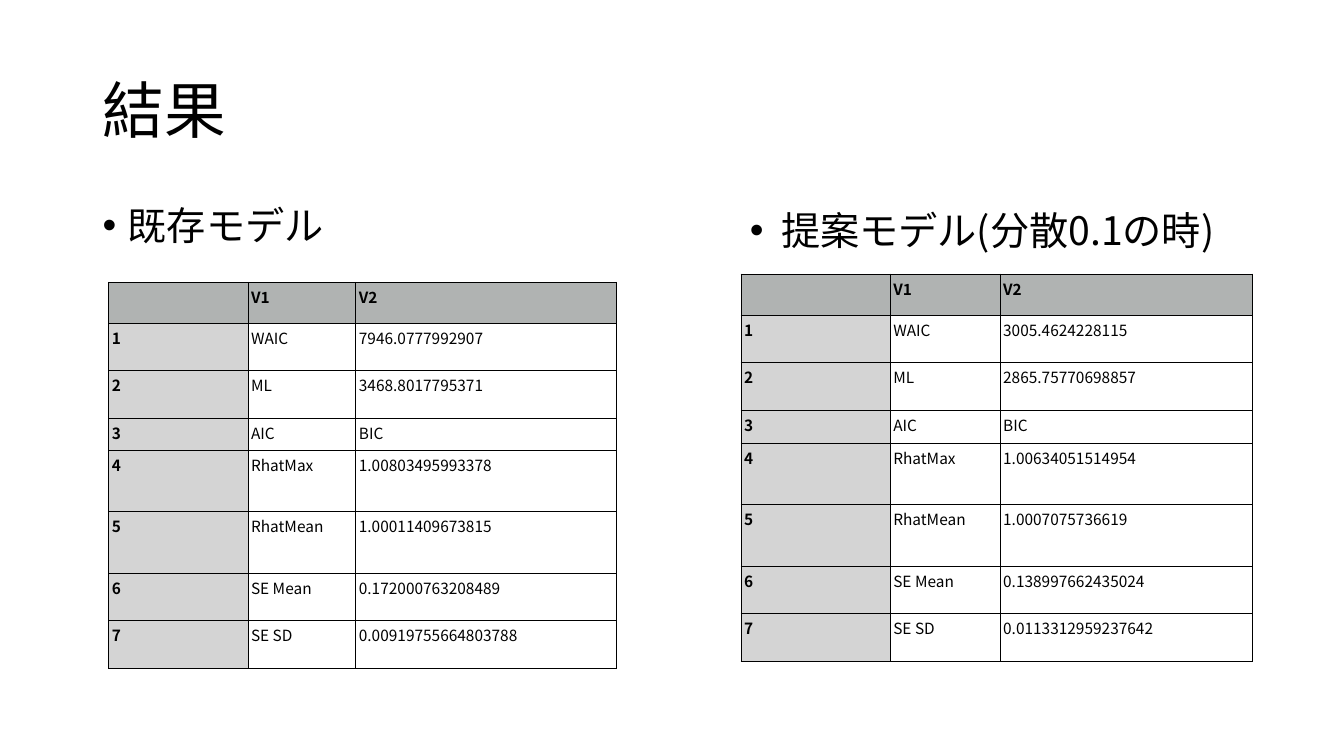
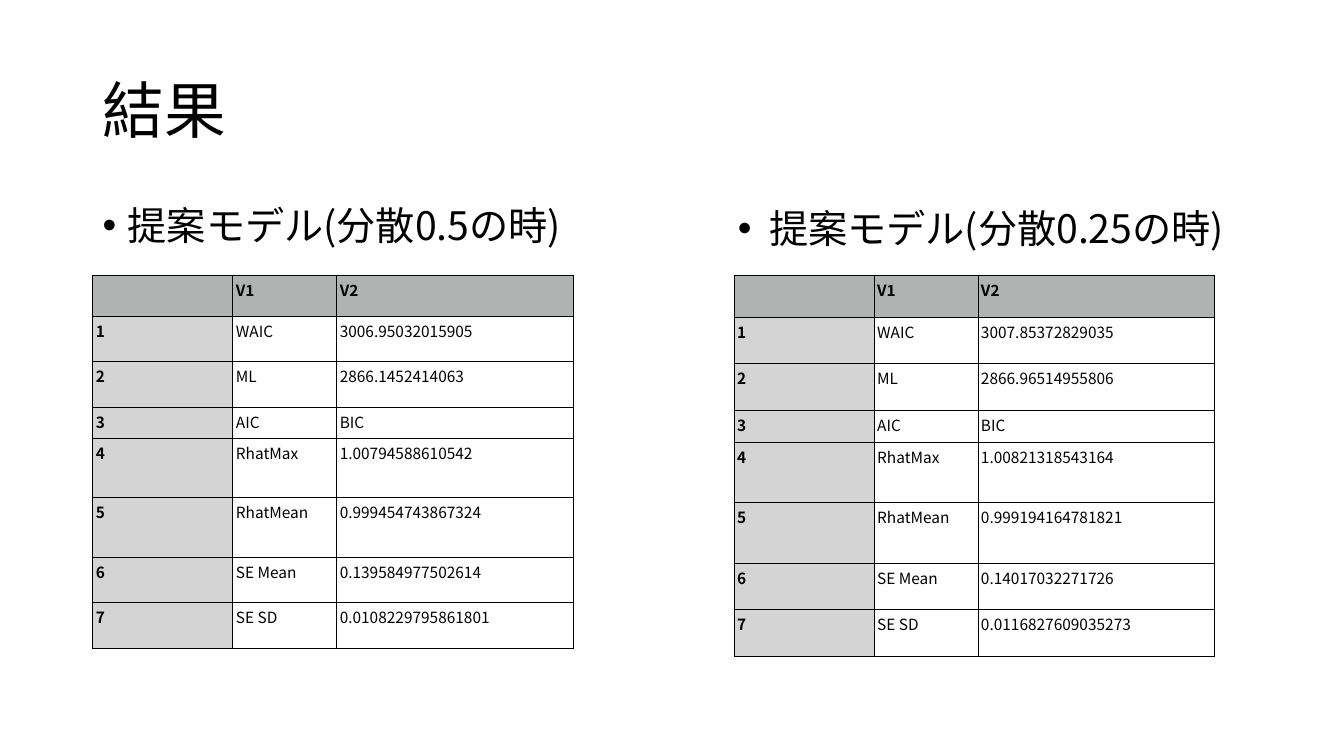
from lxml.etree import SubElement
from pptx import Presentation
from pptx.dml.color import RGBColor
from pptx.enum.text import MSO_ANCHOR
from pptx.oxml.ns import qn
from pptx.util import Inches, Pt

FONT = "Noto Sans CJK JP"
BLACK, HEAD, SIDE = "000000", "B0B3B2", "D4D4D4"
TITLE = "結果"
LABELS = ["WAIC", "ML", "AIC", "RhatMax", "RhatMean", "SE Mean", "SE SD"]

# Each panel: heading box and indent, table corner, column widths,
# row heights (head, mid, low, tall) and values
SLIDES = [
    [
        dict(text="既存モデル", box=(0.92, 2, 5.67, 4.76), indent=0.25,
             corner=(1.08, 2.8), cols=(1.38, 1.07, 2.58),
             heights=(0.41, 0.47, 0.32, 0.61),
             values=["7946.0777992907", "3468.8017795371", "BIC",
                     "1.00803495993378", "1.00011409673815",
                     "0.172000763208489", "0.00919755664803788"]),
        dict(text="提案モデル(分散0.1の時)", box=(7.34, 2, 5.64, 1.04), indent=0.31,
             corner=(7.35, 2.72), cols=(1.48, 1.09, 2.5),
             heights=(0.41, 0.47, 0.33, 0.61),
             values=["3005.4624228115", "2865.75770698857", "BIC",
                     "1.00634051514954", "1.0007075736619",
                     "0.138997662435024", "0.0113312959237642"]),
    ],
    [
        dict(text="提案モデル(分散0.5の時)", box=(0.92, 2, 5.67, 4.76), indent=0.25,
             corner=(0.92, 2.73), cols=(1.39, 1.03, 2.35),
             heights=(0.41, 0.45, 0.31, 0.59),
             values=["3006.95032015905", "2866.1452414063", "BIC",
                     "1.00794588610542", "0.999454743867324",
                     "0.139584977502614", "0.0108229795861801"]),
        dict(text="提案モデル(分散0.25の時)", box=(7.22, 1.98, 5.64, 1.04), indent=0.31,
             corner=(7.28, 2.73), cols=(1.39, 1.03, 2.35),
             heights=(0.42, 0.46, 0.32, 0.6),
             values=["3007.85372829035", "2866.96514955806", "BIC",
                     "1.00821318543164", "0.999194164781821",
                     "0.14017032271726", "0.0116827609035273"]),
    ],
]


def color(code):
    return RGBColor.from_string(code)


def style(para, size, bold=False):
    for run in para.runs:
        font = run.font
        font.name, font.size, font.bold = FONT, Pt(size), bold
        font.color.rgb = color(BLACK)
        SubElement(font._element, qn("a:ea"), typeface=FONT)


def add_text(slide, box, text, size):
    frame = slide.shapes.add_textbox(*map(Inches, box)).text_frame
    frame.word_wrap = True
    frame.text = text
    style(frame.paragraphs[0], size)
    return frame


def add_title(slide):
    frame = add_text(slide, (0.92, 0.4, 11.5, 1.45), TITLE, 44)
    frame.vertical_anchor = MSO_ANCHOR.MIDDLE
    frame.paragraphs[0].line_spacing = 0.9


def add_bullet(slide, box, text, indent, body):
    para = add_text(slide, box, text, 28).paragraphs[0]
    if body:
        para.line_spacing, para.space_before = 0.9, Pt(10)
    props = para._p.get_or_add_pPr()
    props.set("marL", str(Inches(indent)))
    props.set("indent", str(-Inches(indent)))
    SubElement(props, qn("a:buFont"), typeface="Arial")
    SubElement(props, qn("a:buChar"), char="•")


def add_border(cell):
    props = cell._tc.get_or_add_tcPr()
    for side in ("lnL", "lnR", "lnT", "lnB"):
        line = SubElement(props, qn("a:" + side), w=str(Pt(0.75)))
        fill = SubElement(line, qn("a:solidFill"))
        SubElement(fill, qn("a:srgbClr"), val=BLACK)


def fill_cell(cell, text, bold, fill):
    cell.margin_left = cell.margin_right = Inches(0.03)
    cell.margin_top = cell.margin_bottom = Inches(0.03)
    add_border(cell)
    if fill:
        cell.fill.solid()
        cell.fill.fore_color.rgb = color(fill)
    else:
        cell.fill.background()
    if text:
        cell.text_frame.text = text
        style(cell.text_frame.paragraphs[0], 11, bold)


def add_grid(slide, corner, cols, heights, values):
    head, mid, low, tall = heights
    sizes = [head, mid, mid, low, tall, tall, mid, mid]
    rows = [("", "V1", "V2")]
    rows += [(str(n), *pair) for n, pair in enumerate(zip(LABELS, values), 1)]
    area = (*corner, sum(cols), sum(sizes))
    table = slide.shapes.add_table(len(rows), len(cols), *map(Inches, area)).table
    table.first_row = table.horz_banding = False
    for col, width in zip(table.columns, cols):
        col.width = Inches(width)
    for r, (row, height) in enumerate(zip(rows, sizes)):
        table.rows[r].height = Inches(height)
        for c, text in enumerate(row):
            fill = HEAD if r == 0 else SIDE if c == 0 else None
            fill_cell(table.cell(r, c), text, fill is not None, fill)


def main():
    deck = Presentation()
    deck.slide_width, deck.slide_height = Inches(13.33), Inches(7.5)
    for panels in SLIDES:
        slide = deck.slides.add_slide(deck.slide_layouts[6])
        add_title(slide)
        # The left heading follows the body style
        for n, panel in enumerate(panels):
            add_bullet(slide, panel["box"], panel["text"], panel["indent"], n == 0)
            add_grid(slide, panel["corner"], panel["cols"],
                     panel["heights"], panel["values"])
    deck.save("out.pptx")


main()
